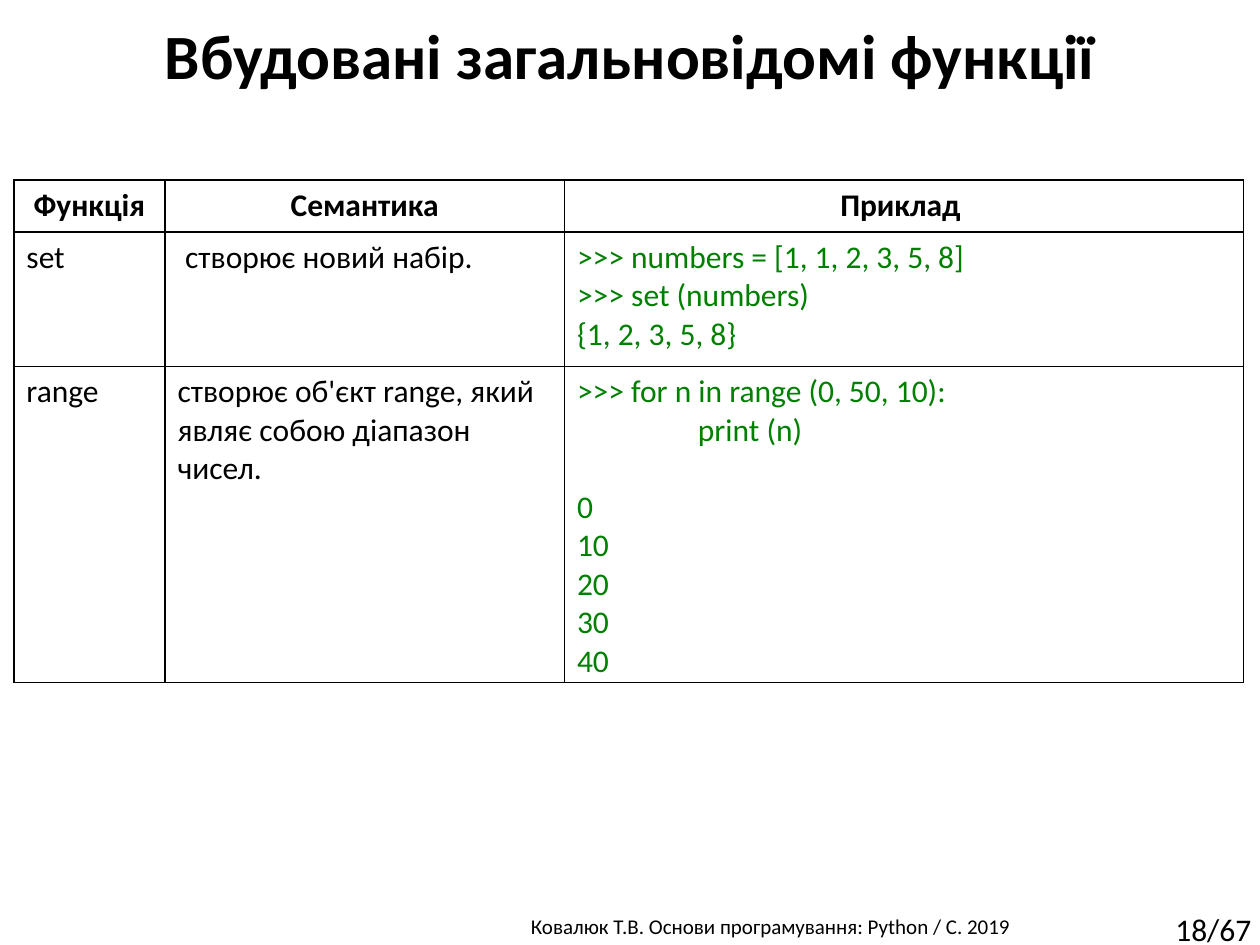
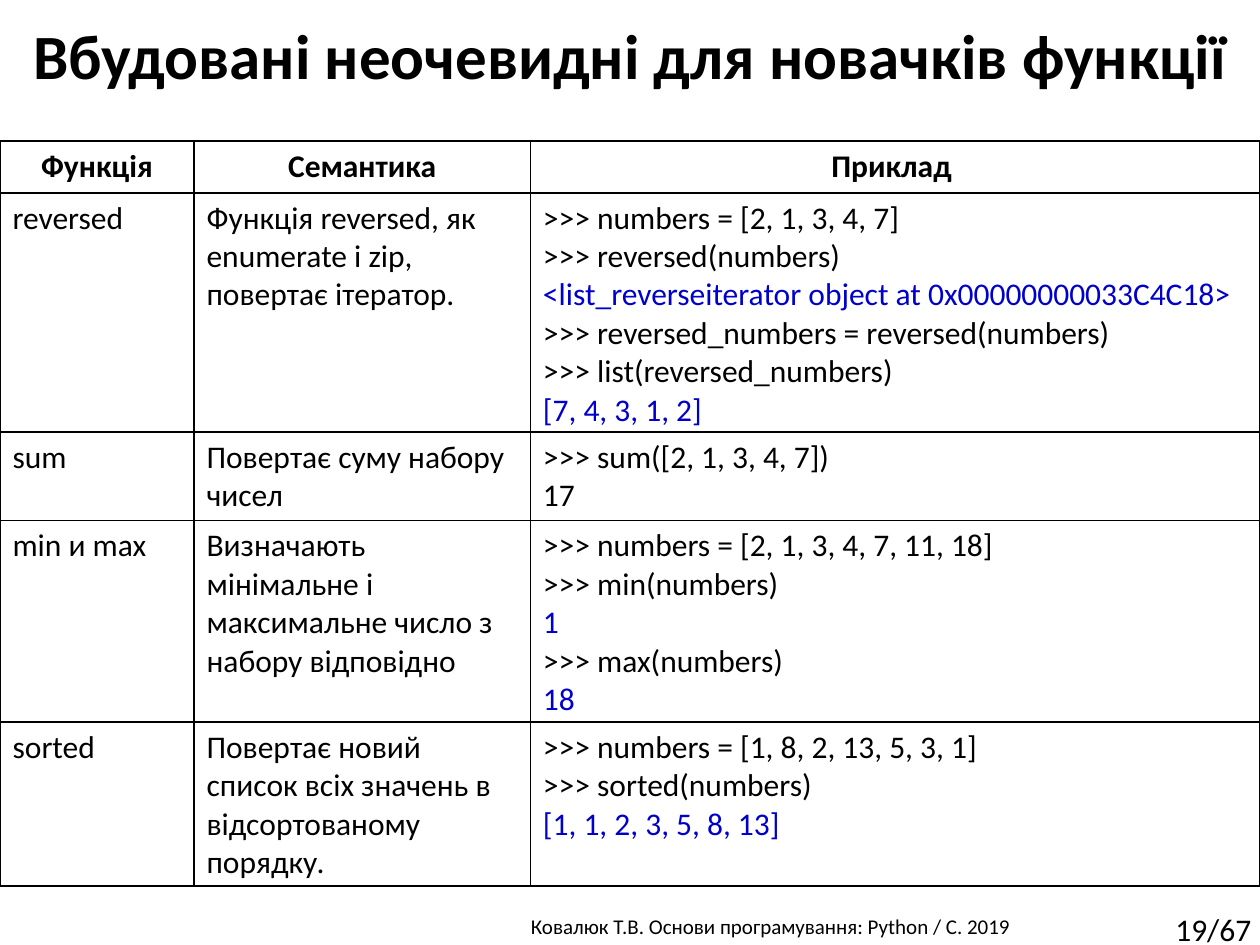
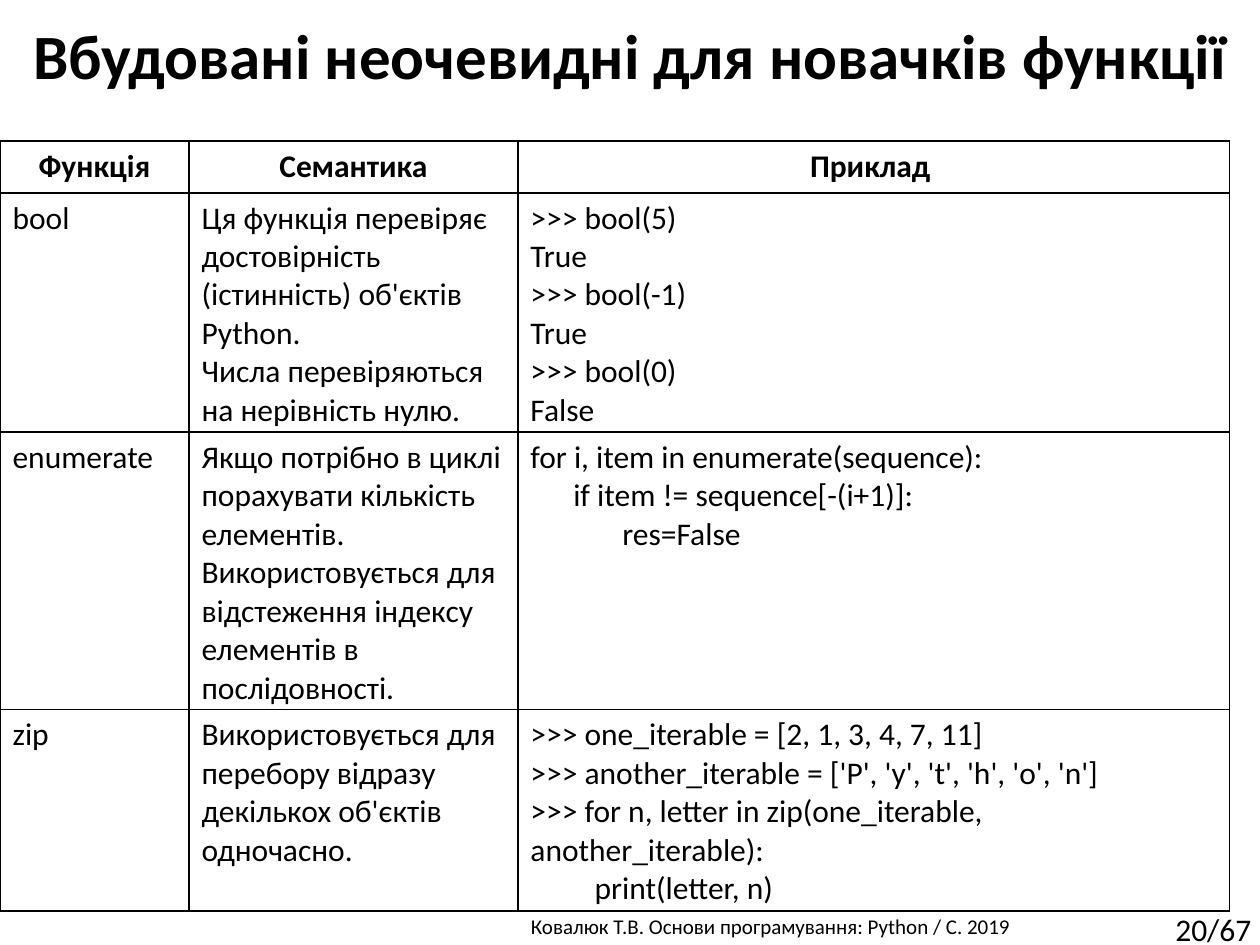
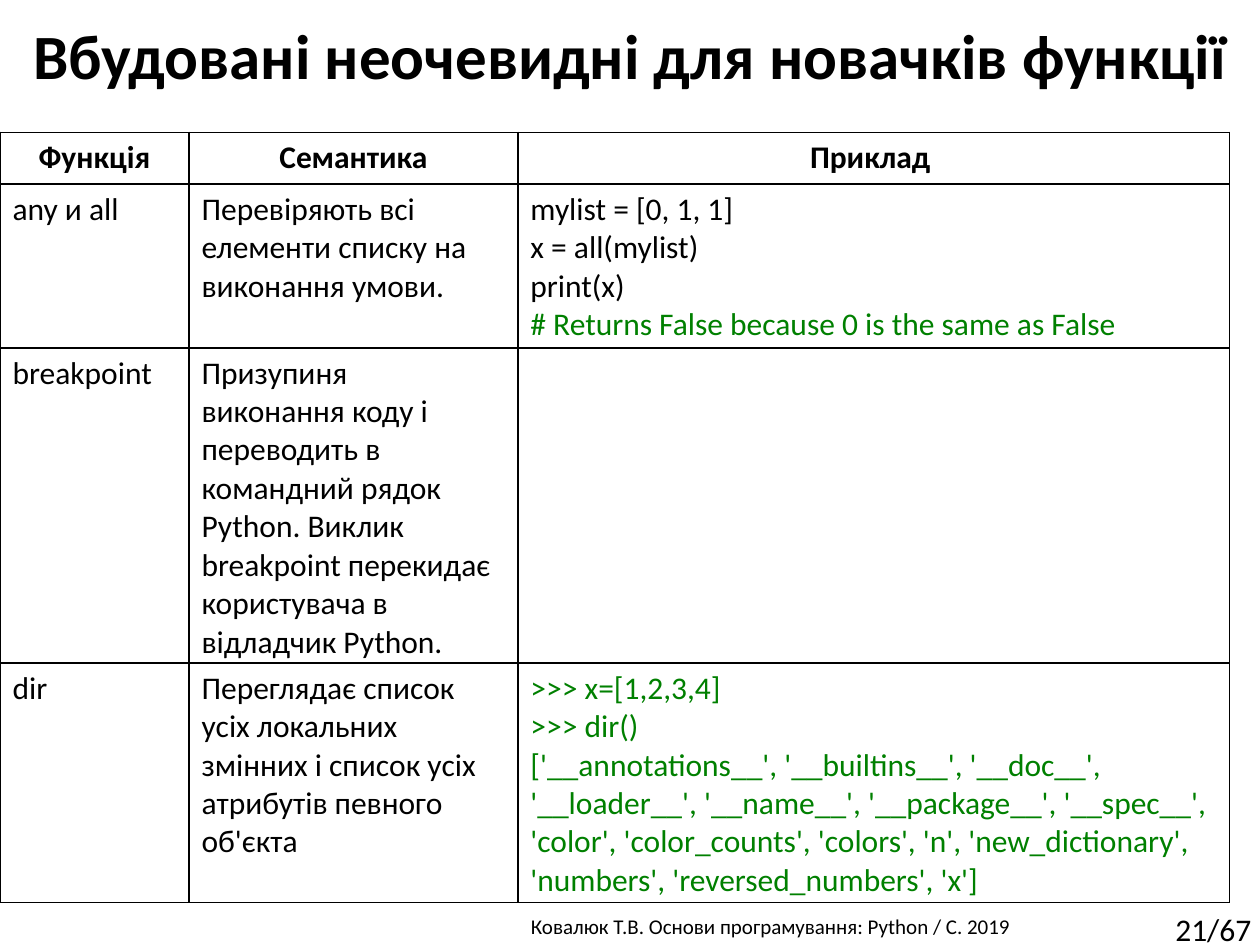
from lxml import etree
from pptx import Presentation
from pptx.dml.color import RGBColor
from pptx.enum.text import MSO_ANCHOR, MSO_AUTO_SIZE, PP_ALIGN
from pptx.oxml.ns import qn
from pptx.util import Inches, Pt

LEFT, CENTER = PP_ALIGN.LEFT, PP_ALIGN.CENTER
TOP = MSO_ANCHOR.TOP
GROW, FIXED = MSO_AUTO_SIZE.SHAPE_TO_FIT_TEXT, MSO_AUTO_SIZE.NONE
TITLE_ONLY = 5

FONT = "Calibri"
BLACK, GREEN, BLUE = "000000", "008000", "0000CC"
BODY, SMALL, HUGE = 18, 12, 36

FOOTER = "Ковалюк Т.В. Основи програмування: Python / C. 2019 "
FIRST, TOTAL = 18, 67
HEADS = ("Функція", "Семантика", "Приклад ")
HEAD_H = 0.41
KNOWN = "Вбудовані загальновідомі функції"
TRICKY = "Вбудовані неочевидні для новачків функції"


def line(words, **style):
    """Pair one line of a cell with its format."""
    return words, style


def green(words, **style):
    return line(words, color=GREEN, **style)


def blue(words):
    return line(words, color=BLUE)


# Each slide: title, table left and top, column widths, rows.
# Each row: height, then the lines of its three cells.
SLIDES = [
    (KNOWN, 0.11, 1.43, (1.2, 3.17, 5.39), [
        (1.07, ["set"], [line("створює новий набір.", indent=0.06)], [
            green(">>> numbers = [1, 1, 2, 3, 5, 8]"),
            green(">>> set (numbers)"),
            green("{1, 2, 3, 5, 8}"),
        ]),
        (2.5, ["range"],
         ["створює об'єкт range, який являє собою діапазон чисел."], [
            green(">>> for n in range (0, 50, 10):"),
            green("print (n)", indent=0.96),
            green("0", before=22),
            *[green(str(n)) for n in range(10, 50, 10)],
        ]),
    ]),
    (TRICKY, 0, 1.12, (1.54, 2.67, 5.79), [
        (1.9, ["reversed"],
         ["Функція reversed, як enumerate і zip, повертає ітератор."], [
            ">>> numbers = [2, 1, 3, 4, 7]",
            ">>> reversed(numbers)",
            blue("<list_reverseiterator object at 0x00000000033C4C18>"),
            ">>> reversed_numbers = reversed(numbers)",
            ">>> list(reversed_numbers)",
            blue("[7, 4, 3, 1, 2]"),
        ]),
        (0.7, ["sum"], ["Повертає суму набору чисел"],
         [">>> sum([2, 1, 3, 4, 7])", "17"]),
        (1.6, ["min и max"],
         ["Визначають мінімальне і максимальне число з набору відповідно"], [
            ">>> numbers = [2, 1, 3, 4, 7, 11, 18]",
            ">>> min(numbers)",
            blue("1"),
            ">>> max(numbers)",
            blue("18"),
        ]),
        (1.3, ["sorted"],
         ["Повертає новий список всіх значень в відсортованому порядку."], [
            ">>> numbers = [1, 8, 2, 13, 5, 3, 1]",
            ">>> sorted(numbers)",
            blue("[1, 1, 2, 3, 5, 8, 13]"),
        ]),
    ]),
    (TRICKY, 0, 1.12, (1.5, 2.61, 5.65), [
        (1.9, ["bool"], [
            "Ця функція перевіряє достовірність (істинність) об'єктів Python.",
            "Числа перевіряються на нерівність нулю.",
        ], [
            ">>> bool(5)", "True",
            ">>> bool(-1)", "True",
            ">>> bool(0)", "False",
        ]),
        (2.2, ["enumerate"], [
            "Якщо потрібно в циклі порахувати кількість елементів. "
            "Використовується для відстеження індексу елементів "
            "в послідовності.",
        ], [
            "for i, item in enumerate(sequence):",
            line("if item != sequence[-(i+1)]:", indent=0.34),
            line("res=False", indent=0.73),
        ]),
        (1.6, ["zip"], [
            "Використовується для перебору відразу декількох об'єктів "
            "одночасно.",
        ], [
            ">>> one_iterable = [2, 1, 3, 4, 7, 11]",
            ">>> another_iterable = ['P', 'y', 't', 'h', 'o', 'n']",
            ">>> for n, letter in zip(one_iterable,\vanother_iterable):",
            line("print(letter, n)", indent=0.51),
        ]),
    ]),
    (TRICKY, 0, 1.05, (1.5, 2.61, 5.65), [
        (1.3, ["any и all"],
         ["Перевіряють всі елементи списку на виконання умови."], [
            "mylist = [0, 1, 1]",
            "x = all(mylist)",
            "print(x)",
            green("# Returns False because 0 is the same as False"),
        ]),
        (2.5, ["breakpoint"], [
            "Призупиня\vвиконання коду і переводить в командний рядок Python. "
            "Виклик breakpoint перекидає користувача в відладчик Python.",
        ], []),
        (1.9, ["dir"], [
            "Переглядає список усіх локальних змінних і список усіх "
            "атрибутів певного об'єкта",
        ], [
            green(">>> x=[1,2,3,4]"),
            green(">>> dir()"),
            green("['__annotations__', '__builtins__', '__doc__', "
                  "'__loader__', '__name__', '__package__', '__spec__', "
                  "'color', 'color_counts', 'colors', 'n', "
                  "'new_dictionary', 'numbers', 'reversed_numbers', 'x']"),
        ]),
    ]),
]


def paint(font, color):
    font.color.rgb = RGBColor.from_string(color)


def text(frame, words, size=BODY, color=BLACK, bold=False, align=LEFT,
         indent=0, before=0):
    """Add one formatted paragraph, filling the first one if it is free."""
    para = frame.paragraphs[0]
    if para.runs:
        para = frame.add_paragraph()
    para.text = words
    para.alignment = align
    if before:
        para.space_before = Pt(before)
    if indent:
        para._p.get_or_add_pPr().set("marL", str(Inches(indent)))
    for run in para.runs:
        run.font.name = FONT
        run.font.size = Pt(size)
        run.font.bold = bold
        paint(run.font, color)


def place(shape, left, top, width, height):
    shape.left, shape.top = Inches(left), Inches(top)
    shape.width, shape.height = Inches(width), Inches(height)


def add_title(slide, words):
    title = slide.shapes.title
    place(title, 0, 0.08, 10, 0.71)
    frame = title.text_frame
    frame.auto_size = FIXED
    frame.vertical_anchor = TOP
    text(frame, words, size=HUGE, bold=True, align=CENTER)


def add_box(slide, words, left, top, width, height, wrap=True, **style):
    box = slide.shapes.add_textbox(*map(Inches, (left, top, width, height)))
    frame = box.text_frame
    frame.word_wrap = wrap
    frame.auto_size = GROW
    text(frame, words, **style)


def add_footer(slide, page):
    add_box(slide, FOOTER, 3.29, 7.2, 5.69, 0.3, size=SMALL, align=CENTER)
    add_box(slide, f"{page}/{TOTAL}", 9.23, 7.17, 0.85, 0.4, wrap=False)


def frame_cell(cell):
    """Clear the fill and draw a thin black line on all four sides."""
    cell.fill.background()
    props = cell._tc.get_or_add_tcPr()
    for spot, side in enumerate(("lnL", "lnR", "lnT", "lnB")):
        edge = etree.Element(qn(f"a:{side}"), w=str(Pt(1)))
        fill = etree.SubElement(edge, qn("a:solidFill"))
        etree.SubElement(fill, qn("a:srgbClr"), val=BLACK)
        props.insert(spot, edge)


def add_grid(slide, left, top, widths, rows):
    heads = [[line(head, bold=True, align=CENTER)] for head in HEADS]
    rows = [(HEAD_H, *heads), *rows]
    high = sum(row[0] for row in rows)
    table = slide.shapes.add_table(
        len(rows), len(widths), Inches(left), Inches(top),
        Inches(sum(widths)), Inches(high)).table
    table.first_row = table.horz_banding = False
    for col, width in zip(table.columns, widths):
        col.width = Inches(width)
    for row, (height, *cells) in zip(table.rows, rows):
        row.height = Inches(height)
        for cell, lines in zip(row.cells, cells):
            frame_cell(cell)
            for item in lines:
                words, style = line(item) if isinstance(item, str) else item
                text(cell.text_frame, words, **style)


def main():
    deck = Presentation()
    deck.slide_width, deck.slide_height = Inches(10), Inches(7.5)
    for page, (title, *grid) in enumerate(SLIDES, FIRST):
        slide = deck.slides.add_slide(deck.slide_layouts[TITLE_ONLY])
        add_footer(slide, page)
        add_title(slide, title)
        add_grid(slide, *grid)
    deck.save("out.pptx")


if __name__ == "__main__":
    main()
